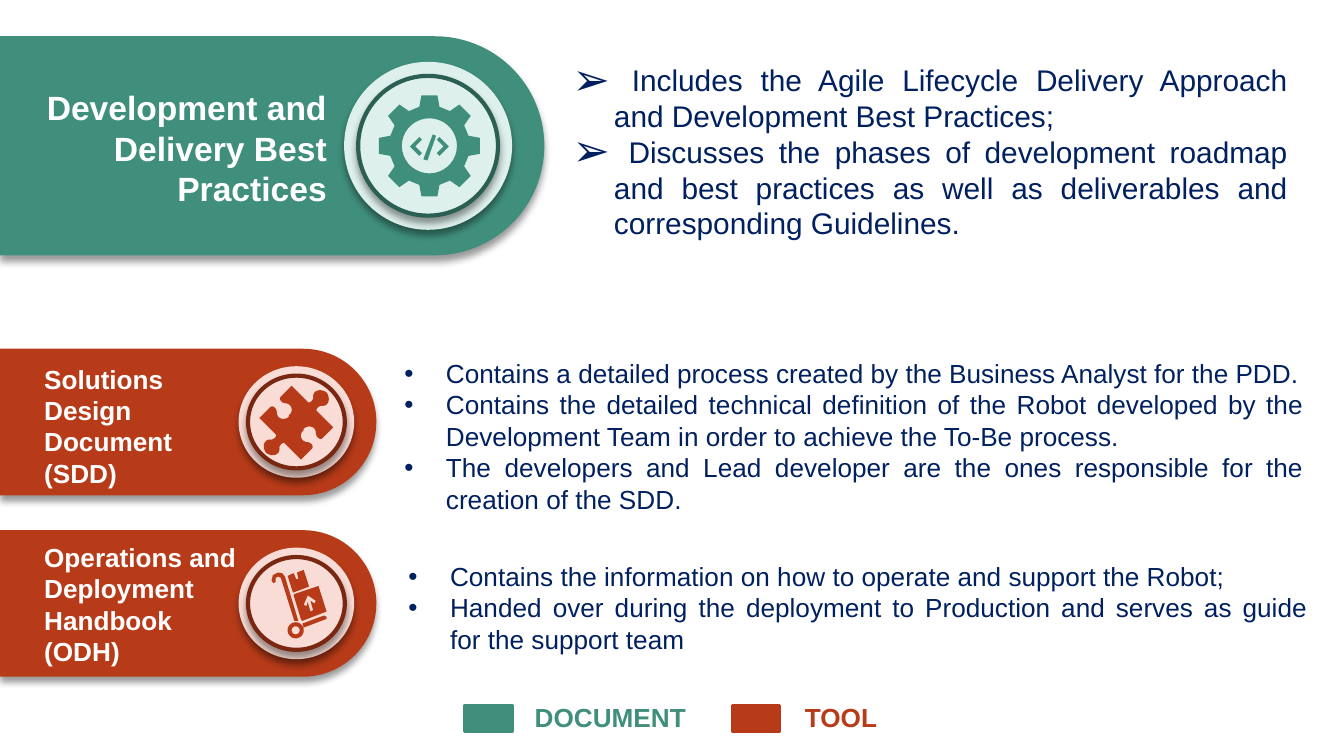
import math
import pptx
import pptx.util
import pptx.dml.color
import pptx.enum.shapes
import pptx.enum.text
import pptx.oxml
import pptx.oxml.ns

theme = {
    "font": "Arial", "title": 18, "lead": 16, "body": 14,
    "white": "FFFFFF", "navy": "002060",
    "green": "408F7C", "mint": "DEF0EC", "pine": "2B5F53",
    "red": "B83B19", "blush": "F9DCD5", "brick": "7A2711",
}
color = {name: pptx.dml.color.RGBColor.from_string(value)
         for name, value in theme.items() if isinstance(value, str) and name != "font"}
kinds = pptx.enum.shapes.MSO_SHAPE
align = pptx.enum.text.PP_ALIGN
anchors = pptx.enum.text.MSO_ANCHOR
namespace = pptx.oxml.ns.nsdecls("a")

# Widescreen slide, 16 to 9
presentation = pptx.Presentation()
presentation.slide_width = pptx.util.Inches(10)
presentation.slide_height = presentation.slide_width * 9 // 16
slide = presentation.slides.add_slide(presentation.slide_layouts[6])

# Square grid of 1000 columns by 562.5 rows
column = presentation.slide_width / 1000
row = presentation.slide_height / 562.5


def add_turned(kind, center_x, center_y, width, height, fill, line=None):
    """Add a shadowed shape turned by 90 degrees; width and height are as seen."""
    shape = slide.shapes.add_shape(
        kind, int((center_x - height / 2) * column), int((center_y - width / 2) * row),
        int(height * column), int(width * row))
    shape.rotation = 90
    shape.fill.solid()
    shape.fill.fore_color.rgb = color[fill]
    if line:
        shape.line.color.rgb = color[line]
        shape.line.width = pptx.util.Pt(2.25)
    else:
        shape.line.fill.background()
    shape._element.spPr.append(pptx.oxml.parse_xml(
        f'<a:effectLst {namespace}><a:outerShdw blurRad="50800" dist="38100" dir="5400000" '
        'algn="t" rotWithShape="0"><a:srgbClr val="000000"><a:alpha val="40000"/>'
        '</a:srgbClr></a:outerShdw></a:effectLst>'))
    return shape


def add_outline(contours, fill):
    """Add one filled shape from closed contours; inner contours become holes."""
    builder = None
    for contour in contours:
        points = [(x * column, y * row) for x, y in contour]
        if builder is None:
            builder = slide.shapes.build_freeform(*points[0])
        else:
            builder.move_to(*points[0])
        builder.add_line_segments(points[1:], close=True)
    shape = builder.convert_to_shape()
    shape.shadow.inherit = False
    shape.fill.solid()
    shape.fill.fore_color.rgb = color[fill]
    shape.line.fill.background()


# Banners: center row, length, height, badge center, outer and inner badge, colours
banners = [
    (108.5, 405, 163, 318.5, (125, 125), (104, 104), "green", "mint", "pine"),
    (314, 280, 109, 220.5, (86, 83), (72, 69), "red", "blush", "brick"),
    (449, 280, 109, 220.5, (86, 83), (72, 69), "red", "blush", "brick"),
]
for center, length, height, badge, outer, inner, fill, pale, dark in banners:
    pill = add_turned(kinds.ROUND_2_SAME_RECTANGLE, length / 2, center, length, height, fill)
    pill.adjustments[0] = 0.5
    pill.adjustments[1] = 0
    add_turned(kinds.OVAL, badge, center, *outer, pale)
    add_turned(kinds.OVAL, badge, center, *inner, pale, dark)

# Circles used inside the icons
circles = {
    name: [(x + radius * math.cos(math.radians(angle)), y + radius * math.sin(math.radians(angle)))
           for angle in range(0, 360, 10)]
    for name, x, y, radius in [("hub", 319.5, 108.5, 20.5), ("tyre", 220, 469, 6), ("axle", 220, 469, 3)]}

# Gear icon with eight teeth and a code sign
gear = [(319.5 + radius * math.sin(math.radians(tooth + angle)),
         108.5 - radius * math.cos(math.radians(tooth + angle)))
        for tooth in range(0, 360, 45)
        for angle, radius in [(-14.5, 30), (-9, 38), (9, 38), (14.5, 30)]]
add_outline([gear, circles["hub"]], "green")
chevron = [(7.5, -7), (14.5, 0), (7.5, 7), (5.5, 5), (10.5, 0), (5.5, -5)]
for side in (1, -1):
    add_outline([[(319.5 + side * x, 109 + y) for x, y in chevron]], "green")
add_outline([[(322, 100), (324.5, 101), (318, 119.5), (315, 118.5)]], "green")

# Puzzle icon: half an outline, with curves as six numbers, repeated after a half turn
half_puzzle = [
    (3.5, 14.5, 1.5, 8.5, 5.5, 5.5), (5.5, 4.5), (8.5, 1.5, 14.5, 2.5, 14.5, 7.5),
    (14.5, 10.5, 17.5, 13.5, 19.5, 11.5), (27.5, 3.5), (15.5, -8.5),
    (13.5, -9.5, 17.5, -13.5, 19.5, -12.5), (24.5, -12.5, 25.5, -18.5, 22.5, -22.5),
    (18.5, -25.5, 12.5, -24.5, 12.5, -19.5), (13.5, -17.5, 9.5, -13.5, 8.5, -15.5),
    (-3.5, -27.5), (-11.5, -19.5), (-13.5, -17.5, -10.5, -14.5, -8.5, -14.5),
]
half = [(8.5, 14.5)]
for step in half_puzzle:
    if len(step) == 2:
        half.append(step)
        continue
    controls = [half[-1], step[0:2], step[2:4], step[4:6]]
    for t in [part / 8 for part in range(1, 9)]:
        weights = [(1 - t) ** 3, 3 * t * (1 - t) ** 2, 3 * t * t * (1 - t), t ** 3]
        half.append(tuple(sum(w * point[axis] for w, point in zip(weights, controls))
                          for axis in (0, 1)))
add_outline([[(220.5 + turn * x, 314.5 + turn * y) for turn in (1, -1) for x, y in half]], "red")

# Hand truck icon
handle = [(207, 426), (210, 426.5), (212, 429), (222, 462), (219, 462), (209, 430),
          (207, 429), (205, 430), (205, 433), (203.5, 434), (202, 432), (203, 428)]
shelf = [(241, 458), (243, 459), (243, 460.5), (226, 467), (225, 464)]
large_box = [(237, 436), (243, 455), (225, 462), (224, 461), (218.5, 443), (219, 442)]
up_arrow = [(229, 443), (226, 450), (228, 451), (229, 448), (231, 455),
            (233, 454), (231, 447), (234, 449), (235, 447)]
small_box = [(226, 424), (230, 436.5), (218, 441), (214, 428.5), (218.5, 426.5),
             (220.5, 431), (222, 430.5), (221, 426)]
add_outline([circles["tyre"], circles["axle"], handle, shelf, large_box, up_arrow, small_box], "red")

# Texts: place, paragraphs, size, colour, bold, alignment, anchor, bullet
texts = [
    ((-3, 55, 256, 108), ["Development and Delivery Best Practices"],
     "title", "white", True, align.RIGHT, anchors.TOP, None),
    ((416, 36, 552, 146),
     [" Includes the Agile Lifecycle Delivery Approach and Development Best Practices;",
      " Discusses the phases of development roadmap and best practices as well as "
      "deliverables and corresponding Guidelines."],
     "lead", "navy", False, align.JUSTIFY, anchors.TOP, ("➢", 150)),
    ((23, 260, 152, 109), ["Solutions Design Document (SDD)"],
     "body", "white", True, align.LEFT, anchors.TOP, None),
    ((291, 256, 689, 79),
     ["Contains a detailed process created by the Business Analyst for the PDD.",
      "Contains the detailed technical definition of the Robot developed by the "
      "Development Team in order to achieve the To-Be process.",
      "The developers and Lead developer are the ones responsible for the creation of the SDD."],
     "body", "navy", False, align.JUSTIFY, anchors.TOP, ("•", 100)),
    ((23, 395, 165, 109), ["Operations and Deployment Handbook (ODH)"],
     "body", "white", True, align.LEFT, anchors.MIDDLE, None),
    ((294, 407, 689, 67),
     ["Contains the information on how to operate and support the Robot;",
      "Handed over during the deployment to Production and serves as guide for the support team"],
     "body", "navy", False, align.JUSTIFY, anchors.TOP, ("•", 100)),
    ((388, 517, 134, 34), ["DOCUMENT"], "body", "green", True, align.LEFT, anchors.TOP, None),
    ((589, 517, 75, 34), ["TOOL"], "body", "red", True, align.LEFT, anchors.TOP, None),
]
for (left, top, width, height), lines, size, ink, bold, alignment, anchor, bullet in texts:
    box = slide.shapes.add_textbox(int(left * column), int(top * row),
                                   int(width * column), int(height * row))
    frame = box.text_frame
    frame.text = "\n".join(lines)
    frame.vertical_anchor = anchor
    if ink in ("green", "red"):
        frame.word_wrap = False
        frame.auto_size = pptx.enum.text.MSO_AUTO_SIZE.SHAPE_TO_FIT_TEXT
    else:
        frame.word_wrap = True
        frame.margin_top = frame.margin_bottom = int(10 * row)
        frame.margin_left = frame.margin_right = int(10 * column)
    for paragraph in frame.paragraphs:
        paragraph.alignment = alignment
        if bullet:
            properties = paragraph._p.get_or_add_pPr()
            properties.set("marL", str(int(31 * column)))
            properties.set("indent", str(int(-31 * column)))
            for tag in (f'<a:buClr {namespace}><a:srgbClr val="{theme["navy"]}"/></a:buClr>',
                        f'<a:buSzPct {namespace} val="{bullet[1] * 1000}"/>',
                        f'<a:buFont {namespace} typeface="{theme["font"]}"/>',
                        f'<a:buChar {namespace} char="{bullet[0]}"/>'):
                properties.append(pptx.oxml.parse_xml(tag))
        for run in paragraph.runs:
            run.font.name = theme["font"]
            run.font.size = pptx.util.Pt(theme[size])
            run.font.bold = bold
            run.font.color.rgb = color[ink]

# Legend swatches
for left, fill in [(346, "green"), (545, "red")]:
    swatch = slide.shapes.add_shape(kinds.RECTANGLE, int(left * column), int(525 * row),
                                    int(35 * column), int(19 * row))
    swatch.shadow.inherit = False
    swatch.fill.solid()
    swatch.fill.fore_color.rgb = color[fill]
    swatch.line.color.rgb = color[fill]
    swatch.line.width = pptx.util.Pt(2)

presentation.save("out.pptx")
